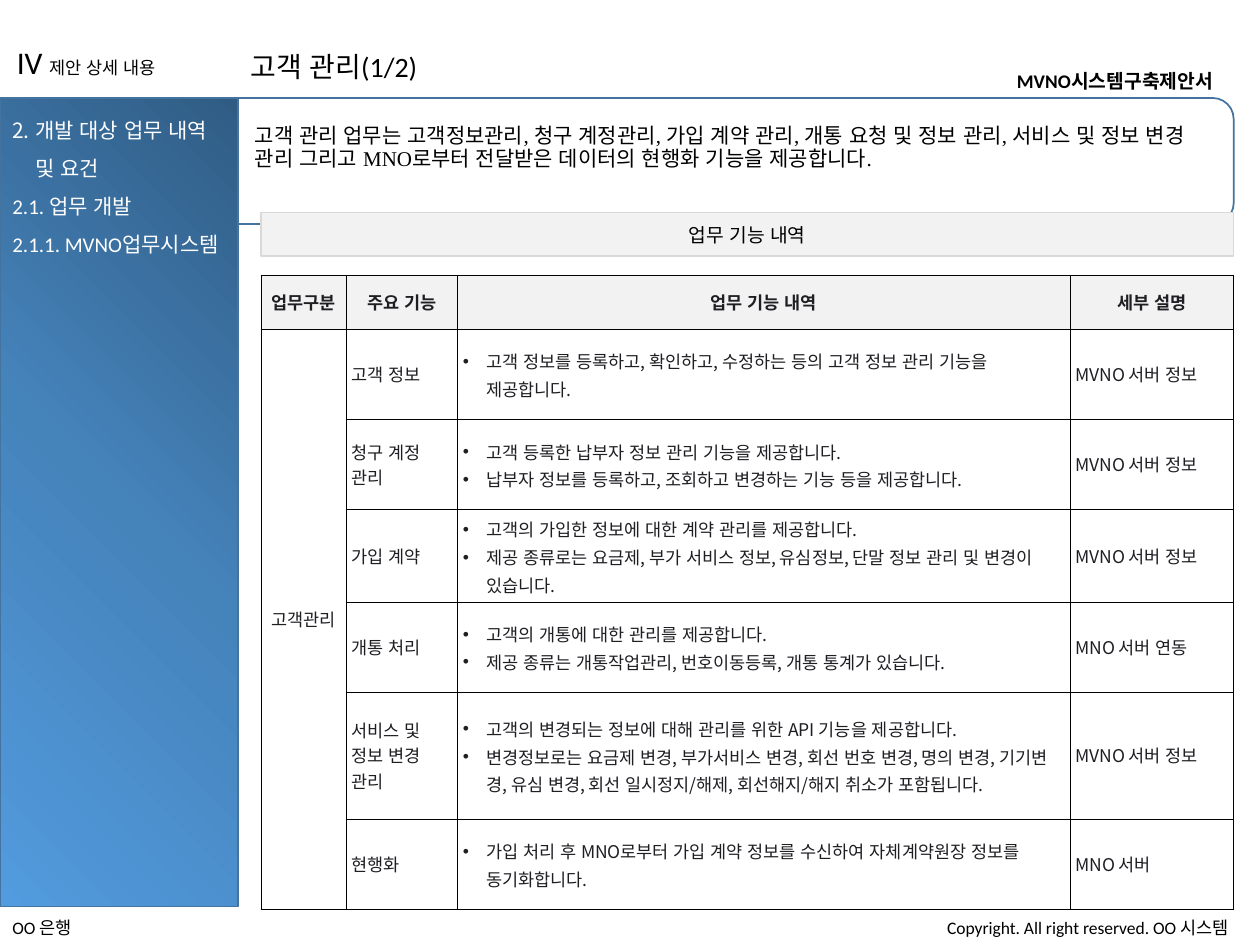
from copy import deepcopy

from lxml import etree
from pptx import Presentation
from pptx.dml.color import RGBColor
from pptx.enum.lang import MSO_LANGUAGE_ID
from pptx.enum.shapes import MSO_SHAPE
from pptx.enum.text import MSO_ANCHOR, PP_ALIGN
from pptx.oxml import parse_xml
from pptx.oxml.ns import nsdecls, qn
from pptx.util import Pt

KOREAN = MSO_LANGUAGE_ID.KOREAN
RECTANGLE, ROUNDED = MSO_SHAPE.RECTANGLE, MSO_SHAPE.ROUNDED_RECTANGLE
MIDDLE = MSO_ANCHOR.MIDDLE
LEFT, CENTER, RIGHT = PP_ALIGN.LEFT, PP_ALIGN.CENTER, PP_ALIGN.RIGHT

BLACK = RGBColor(0x00, 0x00, 0x00)
WHITE = RGBColor(0xFF, 0xFF, 0xFF)
INK = RGBColor(0x1E, 0x1E, 0x23)
BLUE_LINE = RGBColor(0x43, 0x73, 0x9E)
PALE_GRAY = RGBColor(0xF2, 0xF2, 0xF2)
GRAY_LINE = RGBColor(0xD9, 0xD9, 0xD9)
SIDEBAR_STOPS = [
    (0, RGBColor(0x30, 0x5C, 0x84)),
    (50, RGBColor(0x45, 0x83, 0xBB)),
    (100, RGBColor(0x52, 0x9B, 0xDE)),
]

SANS, SERIF, KOREAN_FONT = "Calibri", "Times New Roman", "Noto Sans CJK KR"

# Table: column widths, row heights and wording
COLUMN_WIDTHS = [49, 63.5, 350, 93.5]
ROW_HEIGHTS = [31, 51.5, 51.5, 53, 51.5, 72.5, 51.5]
HEADINGS = ["업무구분", "주요 기능", "업무 기능 내역", "세부 설명"]
CATEGORY = "고객관리"
FUNCTIONS = [
    ("고객 정보",
     ["고객 정보를 등록하고, 확인하고, 수정하는 등의 고객 정보 관리 기능을 제공합니다."],
     "MVNO 서버 정보"),
    ("청구 계정\n관리",
     ["고객 등록한 납부자 정보 관리 기능을 제공합니다.",
      "납부자 정보를 등록하고, 조회하고 변경하는 기능 등을 제공합니다."],
     "MVNO 서버 정보"),
    ("가입 계약",
     ["고객의 가입한 정보에 대한 계약 관리를 제공합니다.",
      "제공 종류로는 요금제, 부가 서비스 정보, 유심정보, 단말 정보 관리 및 변경이 있습니다."],
     "MVNO 서버 정보"),
    ("개통 처리",
     ["고객의 개통에 대한 관리를 제공합니다.",
      "제공 종류는 개통작업관리, 번호이동등록, 개통 통계가 있습니다."],
     "MNO 서버 연동"),
    ("서비스 및\n정보 변경\n관리",
     ["고객의 변경되는 정보에 대해 관리를 위한 API 기능을 제공합니다.",
      "변경정보로는 요금제 변경, 부가서비스 변경, 회선 번호 변경, 명의 변경, 기기변경, "
      "유심 변경, 회선 일시정지/해제, 회선해지/해지 취소가 포함됩니다."],
     "MVNO 서버 정보"),
    ("현행화",
     ["가입 처리 후 MNO로부터 가입 계약 정보를 수신하여 자체계약원장 정보를 동기화합니다."],
     "MNO 서버"),
]


def format_run(run, size, name=SANS, color=BLACK, bold=False):
    values = {"size": Pt(size), "name": name, "bold": bold, "language_id": KOREAN}
    for attribute, value in values.items():
        setattr(run.font, attribute, value)
    run.font.color.rgb = color
    east_asian = etree.Element(qn("a:ea"), typeface=KOREAN_FONT)
    run.font._element.find(qn("a:latin")).addnext(east_asian)


def write_paragraphs(frame, texts, font, **paragraph_format):
    for index, text in enumerate(texts):
        paragraph = frame.add_paragraph() if index else frame.paragraphs[0]
        paragraph.text = text
        for attribute, value in paragraph_format.items():
            setattr(paragraph, attribute, value)
        for run in paragraph.runs:
            format_run(run, **font)
        # A line break takes the size of the text beside it
        for line_break in paragraph._p.findall(qn("a:br")):
            line_break.insert(0, deepcopy(paragraph.runs[0].font._element))


def add_bullet(paragraph, indent, tag, typeface=SANS, **attributes):
    properties = paragraph._p.get_or_add_pPr()
    properties.set("marL", str(Pt(indent)))
    properties.set("indent", str(-Pt(indent)))
    etree.SubElement(properties, qn("a:buFont"), typeface=typeface)
    etree.SubElement(properties, qn(tag), **attributes)


def add_text(slide, box, texts, font, wrap=True, **paragraph_format):
    frame = slide.shapes.add_textbox(*map(Pt, box)).text_frame
    frame.word_wrap = wrap
    write_paragraphs(frame, texts, font, **paragraph_format)
    return frame


def add_box(slide, preset, box, line_color, fill_color=None):
    shape = slide.shapes.add_shape(preset, *map(Pt, box))
    shape.shadow.inherit = False
    shape.line.color.rgb = line_color
    shape.line.width = Pt(1)
    if fill_color is None:
        shape.fill.background()
    else:
        shape.fill.solid()
        shape.fill.fore_color.rgb = fill_color
    return shape


def set_corner_gradient(shape, stops):
    """Radial gradient that starts in the top right corner."""
    stop_xml = "".join(
        f'<a:gs pos="{position * 1000}"><a:srgbClr val="{color}"/></a:gs>'
        for position, color in stops)
    gradient = parse_xml(
        f'<a:gradFill {nsdecls("a")} rotWithShape="1"><a:gsLst>{stop_xml}</a:gsLst>'
        '<a:path path="circle"><a:fillToRect l="100000" b="100000"/></a:path></a:gradFill>')
    properties = shape._element.spPr
    properties.replace(properties.find(qn("a:noFill")), gradient)


def set_borders(cell, color, width):
    properties = cell._tc.get_or_add_tcPr()
    for index, side in enumerate(("lnL", "lnR", "lnT", "lnB")):
        properties.insert(index, parse_xml(
            f'<a:{side} {nsdecls("a")} w="{Pt(width)}"><a:solidFill>'
            f'<a:srgbClr val="{color}"/></a:solidFill></a:{side}>'))


def fill_cell(cell, texts, alignment=LEFT, heading=False, bulleted=False):
    font = {"size": 10, "name": KOREAN_FONT, "color": INK, "bold": heading}
    write_paragraphs(cell.text_frame, texts, font, alignment=alignment,
                     line_spacing=1.1 if bulleted else 1.0)
    if bulleted:
        for paragraph in cell.text_frame.paragraphs:
            add_bullet(paragraph, 13.5, "a:buChar", typeface="Arial", char="•")


def add_function_table(slide, left, top):
    table = slide.shapes.add_table(
        len(ROW_HEIGHTS), len(COLUMN_WIDTHS), Pt(left), Pt(top),
        Pt(sum(COLUMN_WIDTHS)), Pt(sum(ROW_HEIGHTS))).table
    for column, width in zip(table.columns, COLUMN_WIDTHS):
        column.width = Pt(width)
    cell_format = {"vertical_anchor": MIDDLE}
    cell_format.update({f"margin_{side}": Pt(3) for side in ("left", "right", "top", "bottom")})
    for index, (row, height) in enumerate(zip(table.rows, ROW_HEIGHTS)):
        row.height = Pt(height)
        for cell in row.cells:
            for attribute, value in cell_format.items():
                setattr(cell, attribute, value)
            cell.fill.solid()
            cell.fill.fore_color.rgb = WHITE if index else PALE_GRAY
            set_borders(cell, BLACK, 0.25)

    for column, heading in enumerate(HEADINGS):
        fill_cell(table.cell(0, column), [heading], CENTER, heading=True)
    table.cell(1, 0).merge(table.cell(len(FUNCTIONS), 0))
    fill_cell(table.cell(1, 0), [CATEGORY], CENTER)
    for row, (name, details, server) in enumerate(FUNCTIONS, start=1):
        fill_cell(table.cell(row, 1), [name])
        fill_cell(table.cell(row, 2), details, bulleted=True)
        fill_cell(table.cell(row, 3), [server])


def set_title(slide, box, text):
    title = slide.shapes.title
    title.left, title.top, title.width, title.height = map(Pt, box)
    title.text_frame.vertical_anchor = MIDDLE
    write_paragraphs(title.text_frame, [text], {"size": 16}, alignment=LEFT, line_spacing=0.9)


def main():
    presentation = Presentation()
    presentation.slide_width, presentation.slide_height = Pt(720), Pt(540)
    slide = presentation.slides.add_slide(presentation.slide_layouts[5])

    # Header
    set_title(slide, (136, 22, 535, 34), "고객 관리(1/2)")
    add_text(slide, (574, 36, 140, 21), ["MVNO시스템구축제안서"], {"size": 11, "bold": True})

    # Summary frame and sidebar
    add_box(slide, ROUNDED, (26, 56, 679, 72), BLUE_LINE)
    sidebar = add_box(slide, RECTANGLE, (0, 56, 136, 462), BLUE_LINE)
    set_corner_gradient(sidebar, SIDEBAR_STOPS)
    chapter = add_text(slide, (2.5, 21, 120, 29), ["IV "], {"size": 18})
    chapter_name = chapter.paragraphs[0].add_run()
    chapter_name.text = "제안 상세 내용"
    format_run(chapter_name, 10)
    outline = add_text(
        slide, (0, 56.5, 149, 92),
        ["개발 대상 업무 내역\n및 요건", "2.1. 업무 개발", "2.1.1. MVNO업무시스템"],
        {"size": 12, "color": WHITE}, line_spacing=1.5)
    add_bullet(outline.paragraphs[0], 13, "a:buAutoNum", type="arabicPeriod", startAt="2")

    # Footer
    add_text(slide, (0, 520.5, 100, 19), ["OO 은행"], {"size": 10})
    add_text(slide, (509, 520.5, 200, 19), ["Copyright. All right reserved. OO 시스템"],
             {"size": 10}, alignment=RIGHT)

    # Summary, function table and its heading band
    add_text(slide, (138.5, 68, 566, 37.5),
             ["고객 관리 업무는 고객정보관리, 청구 계정관리, 가입 계약 관리, 개통 요청 및 정보 관리, "
              "서비스 및 정보 변경 관리 그리고 MNO로부터 전달받은 데이터의 현행화 기능을 제공합니다."],
             {"size": 12, "name": SERIF}, line_spacing=0.9, space_before=Pt(7.5))
    add_function_table(slide, 149, 157)
    band = add_box(slide, RECTANGLE, (149, 121.5, 556, 25), GRAY_LINE, PALE_GRAY)
    band.text_frame.vertical_anchor = MIDDLE
    write_paragraphs(band.text_frame, ["업무 기능 내역"], {"size": 11}, alignment=CENTER)

    presentation.save("out.pptx")


if __name__ == "__main__":
    main()
